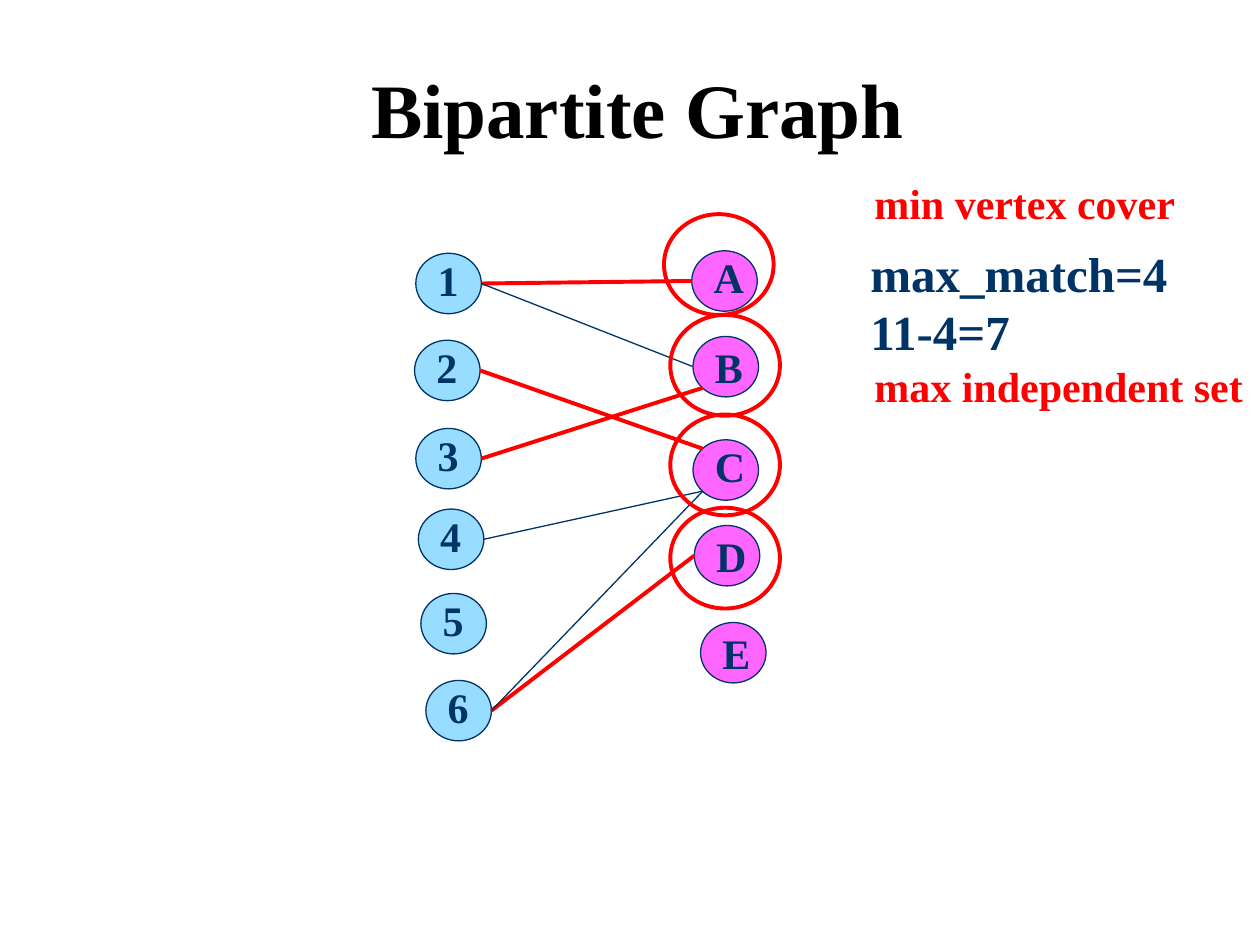
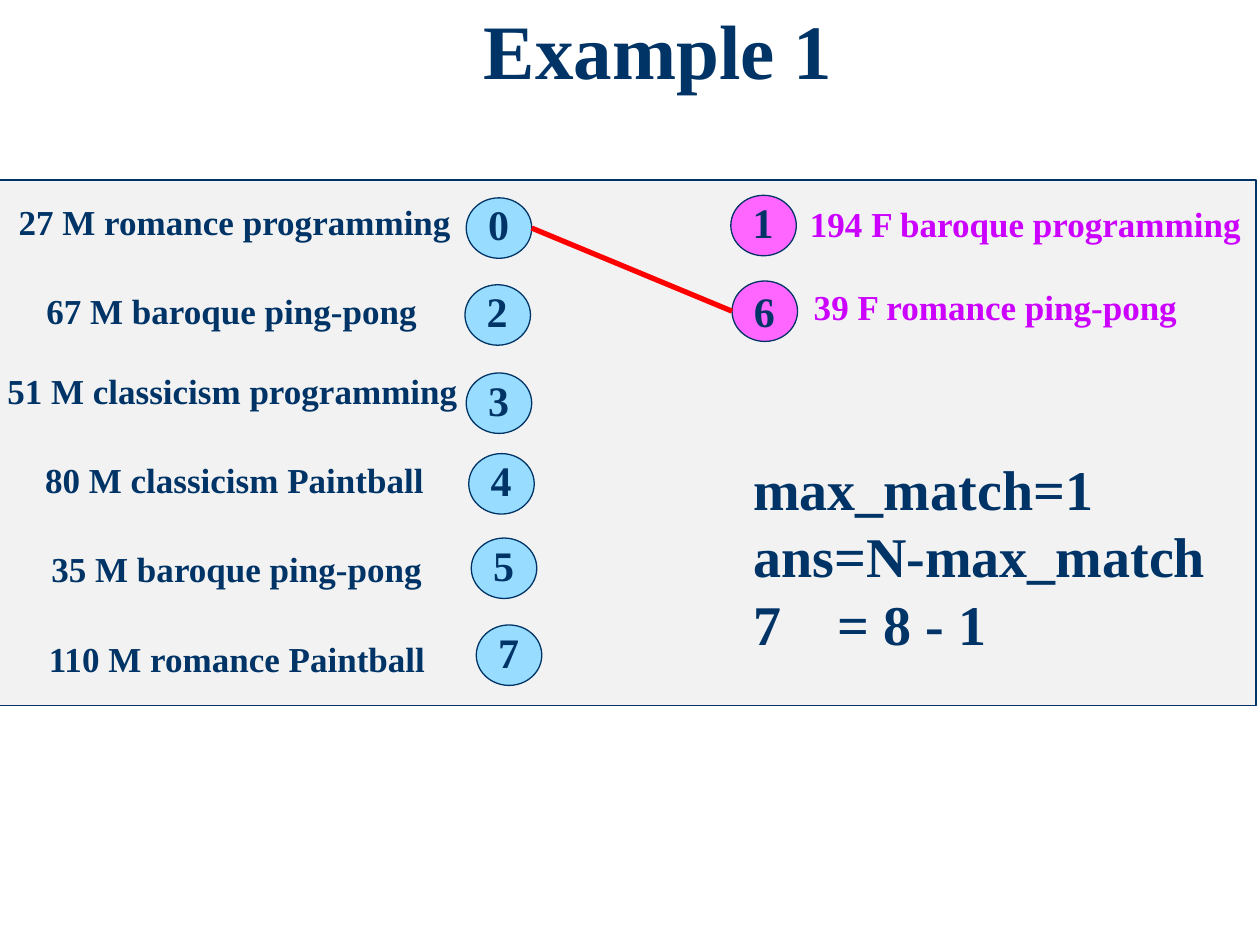
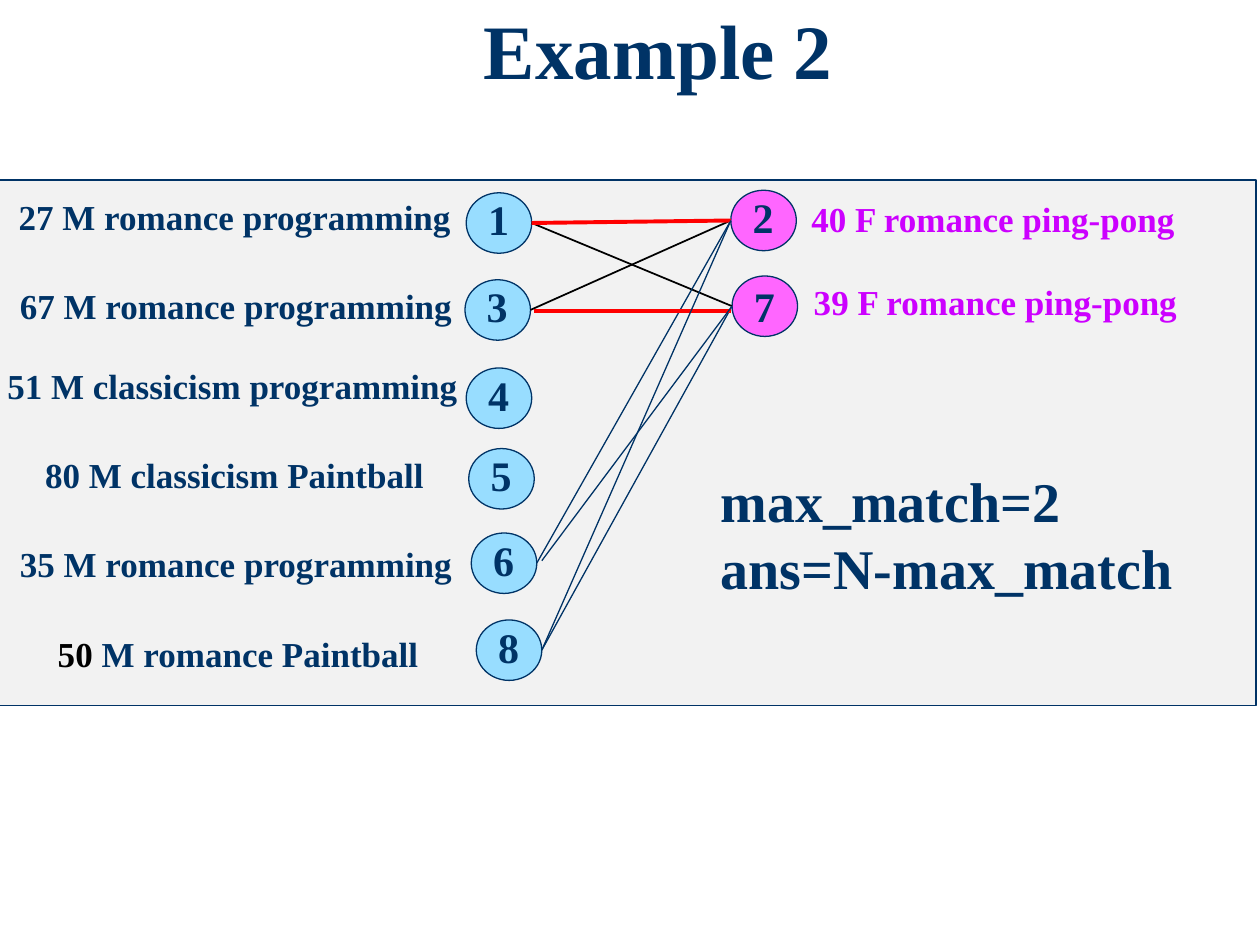
from dataclasses import dataclass

import pptx
import pptx.dml.color
import pptx.enum.shapes
import pptx.enum.text
import pptx.oxml
import pptx.oxml.ns
import pptx.util

ALIGN = pptx.enum.text.PP_ALIGN
OVAL = pptx.enum.shapes.MSO_SHAPE.OVAL
RECTANGLE = pptx.enum.shapes.MSO_SHAPE.RECTANGLE


@dataclass(frozen=True)
class Theme:
    """Colours, type sizes and line widths in points."""
    font: str = "Times New Roman"
    ink: str = "003366"
    black: str = "000000"
    red: str = "FF0000"
    purple: str = "CC00FF"
    panel: str = "F2F2F2"
    man: str = "98DDFF"
    woman: str = "FF66FF"
    title: int = 44
    result: int = 32
    count: int = 28
    node: int = 24
    caption: int = 20
    thin: float = 0.75
    medium: float = 1
    bold: float = 2.25
    heavy: float = 3


@dataclass(frozen=True)
class Edge:
    """A line from a man to a woman, by their places in the columns."""
    man: int
    woman: int
    color: str
    width: float
    port: str = "left"
    start_shift: tuple = (0, 0)
    end_shift: tuple = (0, 0)


THEME = Theme()
COLUMNS, ROWS = 100, 75
SLIDE_WIDTH, SLIDE_HEIGHT = pptx.util.Inches(10), pptx.util.Inches(7.5)
NODE_W, NODE_H = 5.2, 4.8
MEN_SLOTS = [(0, 0, -0.4), (-0.1, 6.9, -0.4), (0, 13.9, -0.4),
             (0.2, 20.3, -0.4), (0.4, 27, -0.4), (0.8, 33.9, -0.4)]
WOMEN_SLOTS = [(0, 0, -0.4), (0.1, 6.8, -0.1), (0.1, 15, -0.4),
               (0.2, 21.8, -0.1), (0.7, 29.5, -0.1)]
MEN_CAPTION_ROWS = [-0.3, 6.8, 13.1, 20.2, 27.3, 34.4]
WOMEN_CAPTION_ROWS = [0.1, 6.7]
PORTS = {"right": (NODE_W, NODE_H / 2), "left": (0, NODE_H / 2),
         "upper": (NODE_W * 0.15, NODE_H * 0.15),
         "lower": (NODE_W * 0.15, NODE_H * 0.85)}


def cells(left, top, width=0, height=0):
    """Turn a box in grid columns and rows into slide lengths."""
    col, row = SLIDE_WIDTH / COLUMNS, SLIDE_HEIGHT / ROWS
    return [round(v) for v in (left * col, top * row, width * col, height * row)]


def rgb(color):
    """Return the colour for a hex string."""
    return pptx.dml.color.RGBColor.from_string(color)


def write(tf, lines, size, color=THEME.ink, align=ALIGN.LEFT, spacing=None, tab=None):
    """Fill a text frame; a line is a string or a list of (text, colour) runs."""
    for i, line in enumerate(lines):
        p = tf.paragraphs[0] if i == 0 else tf.add_paragraph()
        if tab:
            stops = pptx.oxml.parse_xml(
                f'<a:tabLst {pptx.oxml.ns.nsdecls("a")}>'
                f'<a:tab pos="{cells(tab, 0)[0]}" algn="l"/></a:tabLst>')
            p._p.get_or_add_pPr().append(stops)
        p.alignment = align
        if spacing:
            p.line_spacing = spacing
        for text, run_color in [(line, color)] if isinstance(line, str) else line:
            r = p.add_run()
            r.text = text
            r.font.name = THEME.font
            r.font.size = pptx.util.Pt(size)
            r.font.bold = True
            r.font.color.rgb = rgb(run_color)


def add_text(shapes, box, lines, **fmt):
    """Add a text box that grows with its lines."""
    tf = shapes.add_textbox(*cells(*box)).text_frame
    tf.word_wrap = False
    tf.auto_size = pptx.enum.text.MSO_AUTO_SIZE.SHAPE_TO_FIT_TEXT
    write(tf, lines, **fmt)


def add_shape(shapes, kind, box, fill=None, line=THEME.ink, width=THEME.thin):
    """Add a flat outlined shape, filled when a fill is given."""
    sp = shapes.add_shape(kind, *cells(*box))
    sp.shadow.inherit = False
    if fill:
        sp.fill.solid()
        sp.fill.fore_color.rgb = rgb(fill)
    else:
        sp.fill.background()
    sp.line.color.rgb = rgb(line)
    sp.line.width = pptx.util.Pt(width)


def add_line(shapes, start, end, color, width):
    """Add a straight line between two grid points."""
    cxn = shapes.add_connector(pptx.enum.shapes.MSO_CONNECTOR.STRAIGHT,
                               *cells(*start)[:2], *cells(*end)[:2])
    cxn.line.color.rgb = rgb(color)
    cxn.line.width = pptx.util.Pt(width)
    cxn._element.spPr.append(
        pptx.oxml.parse_xml(f'<a:effectLst {pptx.oxml.ns.nsdecls("a")}/>'))


def titled_slide(prs, title, box, color):
    """Add a title-only slide with its title placed in the box."""
    s = prs.slides.add_slide(prs.slide_layouts[5])
    sp = s.shapes.title
    sp.left, sp.top, sp.width, sp.height = cells(*box)
    tf = sp.text_frame
    tf.word_wrap = True
    tf.auto_size = pptx.enum.text.MSO_AUTO_SIZE.NONE
    tf.vertical_anchor = pptx.enum.text.MSO_ANCHOR.MIDDLE
    write(tf, [title], THEME.title, color, ALIGN.CENTER, spacing=0.9)
    return s


def node_column(s, origin, slots, labels, fill):
    """Draw labelled nodes at their slots below the origin."""
    for (dx, dy, label_dy), label in zip(slots, labels):
        left, top = origin[0] + dx, origin[1] + dy
        group = s.shapes.add_group_shape()
        add_shape(group.shapes, OVAL, (left, top, NODE_W, NODE_H), fill)
        label_width = 3.7 if label.isdigit() else 4.5
        add_text(group.shapes, (left + 0.75, top + label_dy, label_width, 5),
                 [label], size=THEME.node)


def bipartite(s, men_at, women_at, men, women, edges):
    """Draw both columns of nodes and the edges between them."""
    node_column(s, men_at, MEN_SLOTS, men, THEME.man)
    node_column(s, women_at, WOMEN_SLOTS, women, THEME.woman)
    for e in edges:
        start = [sum(v) for v in zip(men_at, MEN_SLOTS[e.man], PORTS["right"], e.start_shift)]
        end = [sum(v) for v in zip(women_at, WOMEN_SLOTS[e.woman], PORTS[e.port], e.end_shift)]
        add_line(s.shapes, start, end, e.color, e.width)


def captions(s, top, rows, entries, color):
    """Write one caption per row; an entry is (left, width, line)."""
    for row, (left, width, line) in zip(rows, entries):
        add_text(s.shapes, (left, top + row, width, 4.4), [line],
                 size=THEME.caption, color=color, align=ALIGN.JUSTIFY)


def graph_slide(prs):
    """Build the slide with the matching, its cover and its counts."""
    s = titled_slide(prs, "Bipartite Graph", (10.6, 4.4, 80, 9.2), THEME.black)
    match, other = (THEME.red, THEME.bold), (THEME.ink, THEME.thin)
    bipartite(s, (33, 20.1), (54.9, 19.9), "123456", "ABCDE", [
        Edge(0, 0, *match), Edge(0, 1, *other), Edge(1, 2, *match, "upper"),
        Edge(2, 1, *match, "lower"), Edge(3, 2, *other, "lower"),
        Edge(5, 3, *match), Edge(5, 2, *other, "lower")])
    for left, top in [(52.7, 17), (53.2, 25), (53.2, 32.9), (53.2, 40.3)]:
        add_shape(s.shapes, OVAL, (left, top, 8.7, 8), line=THEME.red, width=THEME.bold)
    add_text(s.shapes, (68.1, 18.8, 25.9, 10.4), ["max_match=4", "11-4=7"], size=THEME.count)
    for top, width, text in [(13.6, 26.1, "min vertex cover"),
                             (28.1, 31.9, "max independent set")]:
        add_text(s.shapes, (68.4, top, width, 5), [text], size=THEME.node, color=THEME.red)


def example_slide(prs, title, top, men, women, men_text, women_text, edges, result_box, result):
    """Build an example: a panel, captioned nodes, edges and the result."""
    s = titled_slide(prs, title, (26.4, -0.3, 51.7, 9.2), THEME.ink)
    add_shape(s.shapes, RECTANGLE, (-0.4, 14.3, 100.1, 41.7), THEME.panel)
    men_at, women_at = (37, top), (58, top - 0.2)
    bipartite(s, men_at, women_at, men, women, edges)
    captions(s, men_at[1], MEN_CAPTION_ROWS, men_text, THEME.ink)
    captions(s, women_at[1], WOMEN_CAPTION_ROWS, women_text, THEME.purple)
    add_text(s.shapes, result_box, result, size=THEME.result, tab=6.7)


def main():
    """Build the three slides and save them."""
    prs = pptx.Presentation()
    prs.slide_width, prs.slide_height = SLIDE_WIDTH, SLIDE_HEIGHT
    graph_slide(prs)

    first = (0.5, 37.3, "27 M romance programming")
    third = (-0.4, 38, "51 M classicism programming")
    fourth = (2.6, 32.3, "80 M classicism Paintball")
    last_woman = (63.6, 31.1, "39 F romance ping-pong")
    example_slide(
        prs, "Example 1", 15.7, "023457", "16",
        [first, (2.7, 31.7, "67 M baroque ping-pong"), third, fourth,
         (3.1, 31.7, "35 M baroque ping-pong"), (2.9, 32.3, "110 M romance Paintball")],
        [(63.3, 36.5, "194 F baroque programming"), last_woman],
        [Edge(0, 1, THEME.red, THEME.heavy)],
        (58.8, 35.6, 38.2, 17.2), ["max_match=1", "ans=N-max_match", "7\t= 8 - 1"])

    match, cross, other = ((THEME.red, THEME.bold), (THEME.black, THEME.medium),
                           (THEME.ink, THEME.thin))
    example_slide(
        prs, "Example 2", 15.3, "134568", "27",
        [first, (0.6, 36.7, "67 M romance programming"), third, fourth,
         (0.6, 36.7, "35 M romance programming"),
         (3.6, 30.9, [("50 ", THEME.black), ("M romance Paintball", THEME.ink)])],
        [(63.4, 31.1, "40 F romance ping-pong"), last_woman],
        [Edge(0, 1, *cross), Edge(1, 0, *cross), Edge(4, 0, *other), Edge(5, 1, *other),
         Edge(1, 1, *match, start_shift=(0.3, 0.1), end_shift=(-0.1, 0.4)),
         Edge(0, 0, *match), Edge(4, 1, *other, start_shift=(0.4, -0.2)),
         Edge(5, 0, *other)],
        (56.2, 36.5, 38.2, 11.8), ["max_match=2", "ans=N-max_match"])
    prs.save("out.pptx")


if __name__ == "__main__":
    main()
